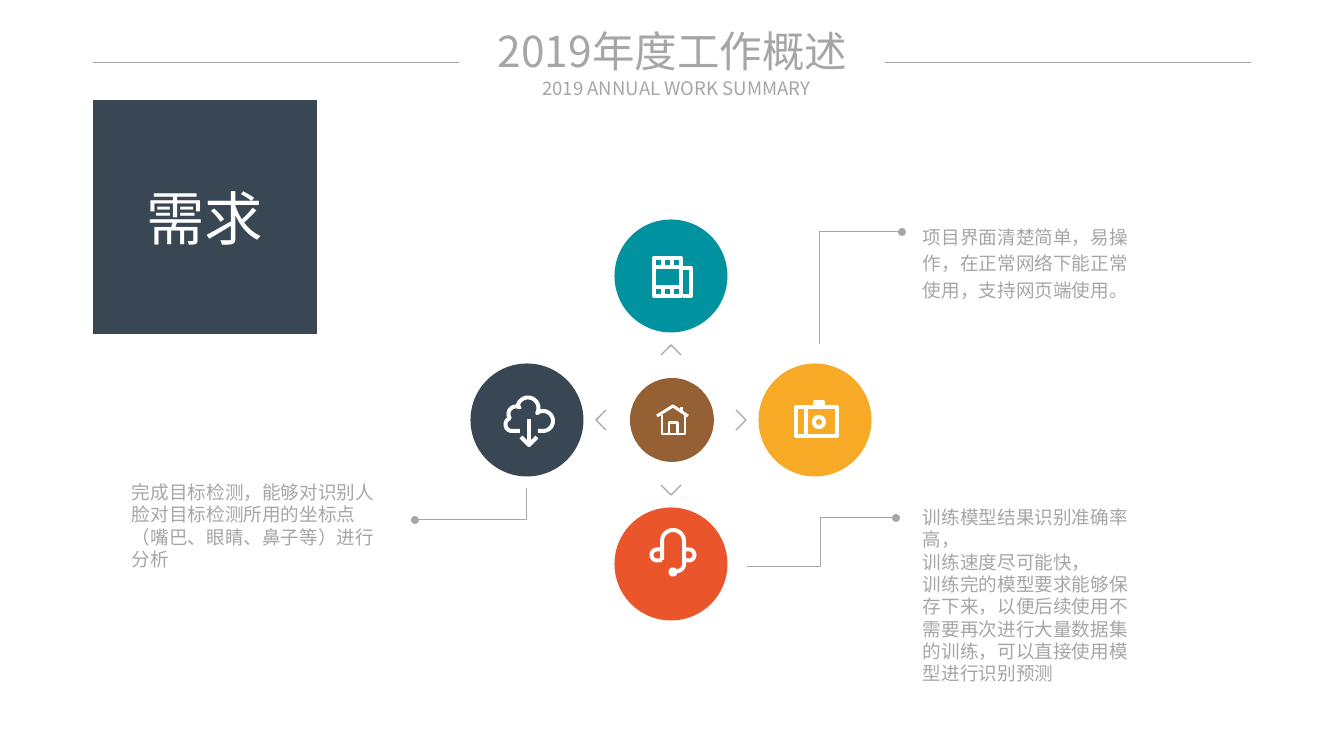
from math import cos, radians, sin
from lxml.etree import SubElement
from pptx import Presentation
from pptx.dml.color import RGBColor
from pptx.enum.shapes import MSO_CONNECTOR, MSO_SHAPE
from pptx.enum.text import MSO_ANCHOR, MSO_AUTO_SIZE, PP_ALIGN
from pptx.oxml.ns import qn
from pptx.util import Pt

PX = 914400 / 95.6
FONT = "Noto Sans CJK SC"
COLORS = {"grey": "A6A6A6", "white": "FFFFFF", "navy": "394754", "teal": "00939F",
          "brown": "956134", "amber": "F6AA26", "red": "EA552B"}


def arc(x, y, r, start, end):
    """Points on a circle, clockwise from start to end in degrees."""
    turns = [radians(start + (end - start) * i / 24) for i in range(25)]
    return [(x + r * cos(t), y + r * sin(t)) for t in turns]


def box(x, y, w, h):
    return [(x, y), (x + w, y), (x + w, y + h), (x, y + h), (x, y)]


# Content
TITLE = "2019年度工作概述"
SUBTITLE = "2019 ANNUAL WORK SUMMARY"
TOPIC = "需求"
NOTES = [  # lines, box, insets, line spacing
    (["项目界面清楚简单，易操作，在正常网络下能正常使用，支持网页端使用。"],
     (923, 221, 223, 81), (0, 0), 1.2),
    (["训练模型结果识别准确率高，", "训练速度尽可能快，",
      "训练完的模型要求能够保存下来，以便后续使用不需要再次进行大量数据集的训练，可以直接使用模型进行识别预测"],
     (923, 506, 223, 203), (0, 0), None),
    (["完成目标检测，能够对识别人脸对目标检测所用的坐标点（嘴巴、眼睛、鼻子等）进行分析"],
     (122, 476, 269, 144), (10, 5), None),
]
LEADERS = [
    [(819, 344), (819, 232), (902, 232)],
    [(747, 567), (821, 567), (821, 518), (896, 518)],
    [(527, 488), (527, 520), (415, 520)],
]

# Icon strokes, measured from the centre of their circle
FILM = [box(-17, -18, 27, 38), [(-17, -9), (10, -9)], [(-17, 11), (10, 11)],
        [(12, -8), (20, -8), (20, 20), (12, 20)]]
FILM += [[(x, y), (x, y + 9)] for x in (-8, 1) for y in (-18, 11)]
CAMERA = [box(-19, -13, 41, 29), [(-9, -13), (-9, 16)],
          box(0, -18, 8, 4), arc(4, 2, 5, 0, 360)]
CLOUD = [[(-7, 11)] + arc(-15, 4.5, 6.5, 90, 250) + arc(-11, -6, 7.5, 150, 300)
         + arc(1, -12, 10.5, 190, 390) + arc(16, 1, 10, 245, 450) + [(11, 11)],
         [(2, -1), (2, 25)], [(-6, 17), (2, 25), (10, 17)]]
HEADSET = [[(-9, -4)] + arc(-14, -9, 5.5, 90, 270) + [(-9, -14.5)],
           [(13, -14.5)] + arc(18, -9, 5.5, -90, 90) + [(13, -4)],
           [(-9, -4)] + arc(2, -23, 11, 180, 360) + arc(6, 0, 7, 0, 90) + [(2, 7)],
           arc(2, 8, 2.5, 0, 360)]
HOME = [[(-15, -4), (1, -14), (16, -4)], [(-10, -5), (-10, 14), (13, 14), (13, -5)],
        [(-3, 14), (-3, 3), (5, 3), (5, 14)], [(10, -13), (10, -9)]]

HUB, STEP = (671, 420), 144
ARMS = [((0, -1), "teal", FILM), ((1, 0), "amber", CAMERA),
        ((-1, 0), "navy", CLOUD), ((0, 1), "red", HEADSET)]

deck = Presentation()
deck.slide_width, deck.slide_height = round(1344 * PX), round(756 * PX)
slide = deck.slides.add_slide(deck.slide_layouts[5])
shapes = slide.shapes


def emu(*sizes):
    return [round(size * PX) for size in sizes]


def tint(name):
    return RGBColor.from_string(COLORS[name])


def write(shape, lines, size=14, color="grey", align=PP_ALIGN.LEFT,
          anchor=MSO_ANCHOR.TOP, inset=(0, 0), gap=None, fit=MSO_AUTO_SIZE.NONE):
    frame = shape.text_frame
    frame.word_wrap, frame.auto_size = True, fit
    frame.vertical_anchor = anchor
    frame.margin_left = frame.margin_right = emu(inset[0])[0]
    frame.margin_top = frame.margin_bottom = emu(inset[1])[0]
    for i, line in enumerate(lines):
        para = frame.add_paragraph() if i else frame.paragraphs[0]
        para.alignment = align
        if gap:
            para.line_spacing = gap
        run = para.add_run()
        run.text = line
        run.font.size = Pt(size)
        run.font.color.rgb = tint(color)
        run.font.name = FONT
        SubElement(run.font._element, qn("a:ea"), typeface=FONT)


def block(kind, place, color):
    shape = shapes.add_shape(kind, *emu(*place))
    shape.shadow.inherit = False
    shape.fill.solid()
    shape.fill.fore_color.rgb = tint(color)
    shape.line.fill.background()
    return shape


def stroke(points, color="grey", width=1, dot=False):
    spots = [emu(*point) for point in points]
    pen = shapes.build_freeform(*spots[0], scale=1.0)
    pen.add_line_segments(spots[1:], close=points[0] == points[-1])
    shape = pen.convert_to_shape()
    shape.shadow.inherit = False
    shape.fill.background()
    shape.line.color.rgb = tint(color)
    shape.line.width = Pt(width)
    edge = shape.line._get_or_add_ln()
    SubElement(edge, qn("a:round"))
    if dot:
        SubElement(edge, qn("a:tailEnd"), type="oval")


def badge(x, y, size, color, icon, width):
    block(MSO_SHAPE.OVAL, (x - size / 2, y - size / 2, size, size), color)
    for line in icon:
        stroke([(x + dx, y + dy) for dx, dy in line], "white", width)


# Header
mid = {"align": PP_ALIGN.CENTER, "anchor": MSO_ANCHOR.MIDDLE}
head = shapes.title
head.left, head.top, head.width, head.height = emu(466, 25, 413, 52)
write(head, [TITLE], size=32, **mid)
write(shapes.add_textbox(*emu(526, 77, 301, 23)), [SUBTITLE], **mid)
for x in (93, 885):
    rule = shapes.add_connector(MSO_CONNECTOR.STRAIGHT, *emu(x, 62, x + 366, 62))
    rule.line.color.rgb = tint("grey")
    rule.line.width = Pt(0.5)
    SubElement(rule._element.spPr, qn("a:effectLst"))

# Topic square
write(block(MSO_SHAPE.RECTANGLE, (93, 100, 224, 234), "navy"), [TOPIC],
      size=44, color="white", **mid)

# Hub, four arms and the chevrons between them
hx, hy = HUB
badge(hx + 1, hy, 84, "brown", HOME, 2.25)
for (dx, dy), color, icon in ARMS:
    badge(hx + dx * STEP, hy + dy * STEP, 113, color, icon, 3)
    stroke([(hx + dx * out - dy * side, hy + dy * out + dx * side)
            for out, side in ((65, -10), (75, 0), (65, 10))])

# Notes and their leader lines
for points in LEADERS:
    stroke(points, width=0.75, dot=True)
for lines, place, inset, gap in NOTES:
    write(shapes.add_textbox(*emu(*place)), lines, inset=inset, gap=gap,
          fit=MSO_AUTO_SIZE.SHAPE_TO_FIT_TEXT)

deck.save("out.pptx")
